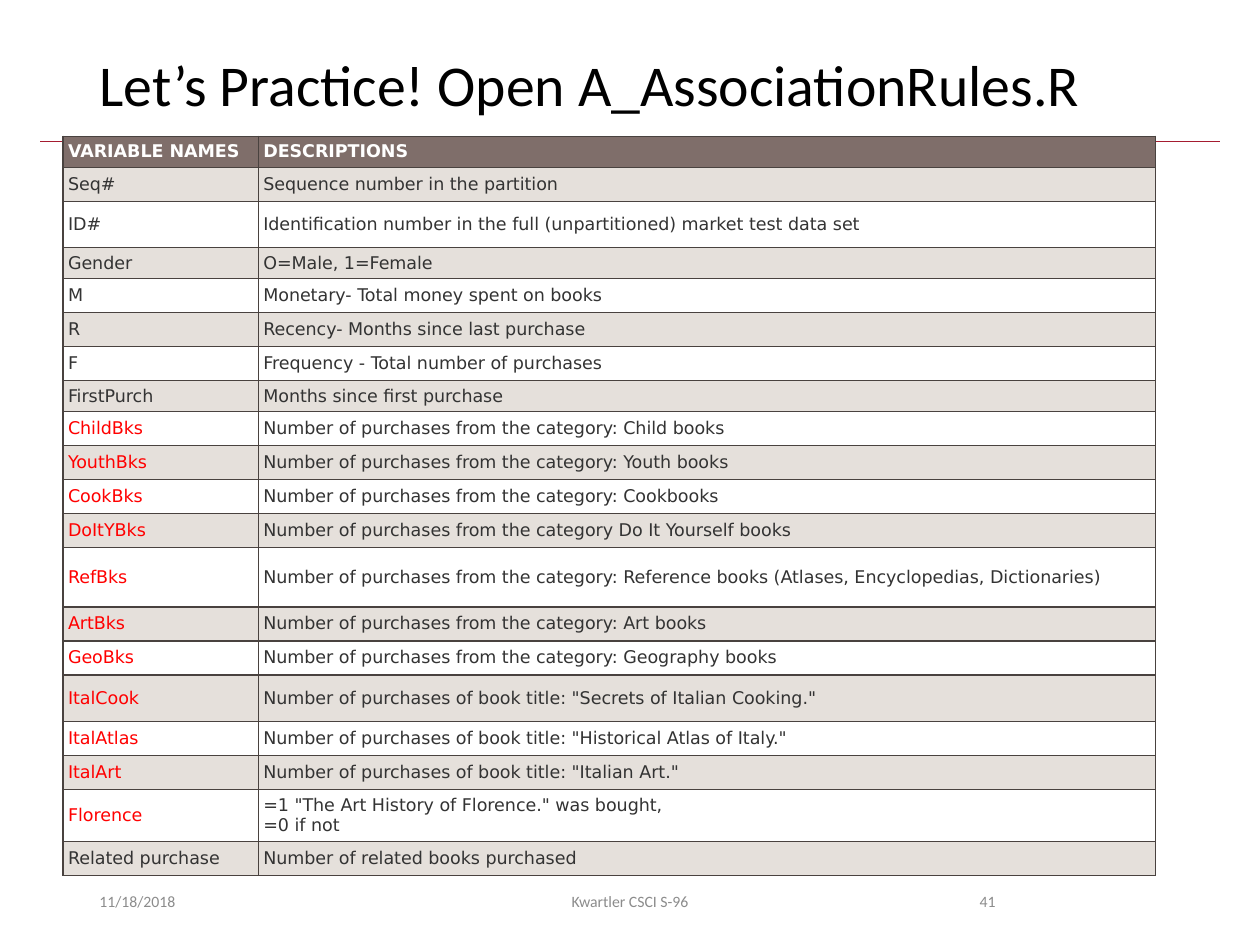
from lxml.etree import SubElement
from pptx import Presentation
from pptx.dml.color import RGBColor
from pptx.enum.shapes import MSO_CONNECTOR
from pptx.enum.text import MSO_ANCHOR, PP_ALIGN
from pptx.oxml.ns import qn
from pptx.util import Inches, Pt

BLACK = RGBColor(0x00, 0x00, 0x00)
WHITE = RGBColor(0xFF, 0xFF, 0xFF)
CRIMSON = RGBColor(0xA5, 0x1C, 0x30)
FOOTER_GRAY = RGBColor(0x8C, 0x8C, 0x8C)
BODY_GRAY = RGBColor(0x33, 0x33, 0x33)
RED = RGBColor(0xFF, 0x00, 0x00)
HEADER_BROWN = RGBColor(0x7F, 0x6E, 0x6A)
BAND_BEIGE = RGBColor(0xE5, 0xE0, 0xDB)
BORDER_BROWN = RGBColor(0x49, 0x42, 0x3F)

CATEGORY = "Number of purchases from the category"
BOOK_TITLE = "Number of purchases of book title:"

VARIABLES = [
    ("VARIABLE NAMES", "DESCRIPTIONS", 0.17),
    ("Seq#", "Sequence number in the partition", 0.27),
    ("ID#", "Identification number in the full (unpartitioned) market test data set", 0.37),
    ("Gender", "O=Male, 1=Female", 0.17),
    ("M", "Monetary- Total money spent on books", 0.27),
    ("R", "Recency- Months since last purchase", 0.27),
    ("F", "Frequency - Total number of purchases", 0.27),
    ("FirstPurch", "Months since first purchase", 0.17),
    ("ChildBks", f"{CATEGORY}: Child books", 0.27),
    ("YouthBks", f"{CATEGORY}: Youth books", 0.27),
    ("CookBks", f"{CATEGORY}: Cookbooks", 0.27),
    ("DoItYBks", f"{CATEGORY} Do It Yourself books", 0.27),
    ("RefBks", f"{CATEGORY}: Reference books (Atlases, Encyclopedias, Dictionaries)", 0.47),
    ("ArtBks", f"{CATEGORY}: Art books", 0.27),
    ("GeoBks", f"{CATEGORY}: Geography books", 0.27),
    ("ItalCook", f'{BOOK_TITLE} "Secrets of Italian Cooking."', 0.37),
    ("ItalAtlas", f'{BOOK_TITLE} "Historical Atlas of Italy."', 0.27),
    ("ItalArt", f'{BOOK_TITLE} "Italian Art."', 0.27),
    ("Florence", '=1 "The Art History of Florence." was bought,\n=0 if not', 0.37),
    ("Related purchase", "Number of related books purchased", 0.27),
]
BOOK_VARIABLES = {
    "ChildBks", "YouthBks", "CookBks", "DoItYBks", "RefBks", "ArtBks",
    "GeoBks", "ItalCook", "ItalAtlas", "ItalArt", "Florence",
}


def write_text(text_frame, text, *, size, font, color, bold=False,
               align=PP_ALIGN.LEFT, line_spacing=None):
    """Write one formatted paragraph, turning newlines into line breaks."""
    paragraph = text_frame.paragraphs[0]
    paragraph.text = text
    paragraph.alignment = align
    if line_spacing:
        paragraph.line_spacing = line_spacing
    for run in paragraph.runs:
        run.font.size = Pt(size)
        run.font.name = font
        run.font.bold = bold
        run.font.color.rgb = color
    for line_break in paragraph._p.findall(qn("a:br")):
        SubElement(line_break, qn("a:rPr"), sz=str(size * 100))


def add_text_box(slide, box, text, anchor=MSO_ANCHOR.TOP, **text_format):
    """Add a wrapping text box that fills the given box."""
    shape = slide.shapes.add_textbox(*map(Inches, box))
    shape.text_frame.word_wrap = True
    shape.text_frame.vertical_anchor = anchor
    write_text(shape.text_frame, text, font="Calibri", **text_format)


def add_title(slide, box):
    """Add the title and the thin rule below it."""
    left, top, width, height = box
    rule_top = Inches(top + height + 0.07)
    rule = slide.shapes.add_connector(
        MSO_CONNECTOR.STRAIGHT, Inches(left - 0.37), rule_top,
        Inches(left + width + 0.37), rule_top)
    rule.line.color.rgb = CRIMSON
    rule.line.width = Pt(0.5)
    SubElement(rule._element.spPr, qn("a:effectLst"))
    add_text_box(slide, box, "Let’s Practice! Open A_AssociationRules.R",
                 size=33, color=BLACK, line_spacing=0.9)


def add_footer(slide, box):
    """Add the date, page number and course name along the footer."""
    left, top, _, height = box
    parts = [
        (0, 2.25, "11/18/2018", PP_ALIGN.LEFT),
        (6.37, 0.94, "41", PP_ALIGN.RIGHT),
        (2.62, 3.38, "Kwartler CSCI S-96", PP_ALIGN.CENTER),
    ]
    for offset, width, text, align in parts:
        add_text_box(slide, (left + offset, top, width, height), text,
                     anchor=MSO_ANCHOR.MIDDLE, size=9, color=FOOTER_GRAY, align=align)


def add_borders(cell):
    """Draw a thin line on all four sides of a cell."""
    properties = cell._tc.get_or_add_tcPr()
    for side in ("a:lnL", "a:lnR", "a:lnT", "a:lnB"):
        line = SubElement(properties, qn(side), w=str(Pt(0.75)))
        fill = SubElement(line, qn("a:solidFill"))
        SubElement(fill, qn("a:srgbClr"), val=str(BORDER_BROWN))


def format_cell(cell, text, fill, **text_format):
    """Set the margins, borders, fill and text of a table cell."""
    cell.margin_left = cell.margin_right = Inches(0.04)
    cell.margin_top = cell.margin_bottom = Inches(0.04)
    cell.vertical_anchor = MSO_ANCHOR.MIDDLE
    add_borders(cell)
    if fill is None:
        cell.fill.background()
    else:
        cell.fill.solid()
        cell.fill.fore_color.rgb = fill
    write_text(cell.text_frame, text, size=10, font="DejaVu Sans", **text_format)


def add_variable_table(slide, box):
    """Add the banded table of variable names and descriptions."""
    left, top, width, _ = box
    height = sum(row_height for _, _, row_height in VARIABLES)
    table = slide.shapes.add_table(
        len(VARIABLES), 2, *map(Inches, (left, top, width, height))).table
    name_width = 1.55
    table.columns[0].width = Inches(name_width)
    table.columns[1].width = Inches(width - name_width)
    for index, (name, description, row_height) in enumerate(VARIABLES):
        table.rows[index].height = Inches(row_height)
        is_header = index == 0
        fill = HEADER_BROWN if is_header else BAND_BEIGE if index % 2 else None
        text_color = WHITE if is_header else BODY_GRAY
        name_color = RED if name in BOOK_VARIABLES else text_color
        format_cell(table.cell(index, 0), name, fill, color=name_color, bold=is_header)
        format_cell(table.cell(index, 1), description, fill, color=text_color, bold=is_header)


def main():
    """Build and save the presentation."""
    presentation = Presentation()
    presentation.slide_width = Inches(10)
    presentation.slide_height = Inches(7.5)
    slide = presentation.slides.add_slide(presentation.slide_layouts[6])
    add_title(slide, (0.69, 0.4, 8.62, 0.65))
    add_footer(slide, (0.69, 6.95, 8.62, 0.4))
    add_variable_table(slide, (0.5, 1.08, 8.67, 5.84))
    presentation.save("out.pptx")


if __name__ == "__main__":
    main()
